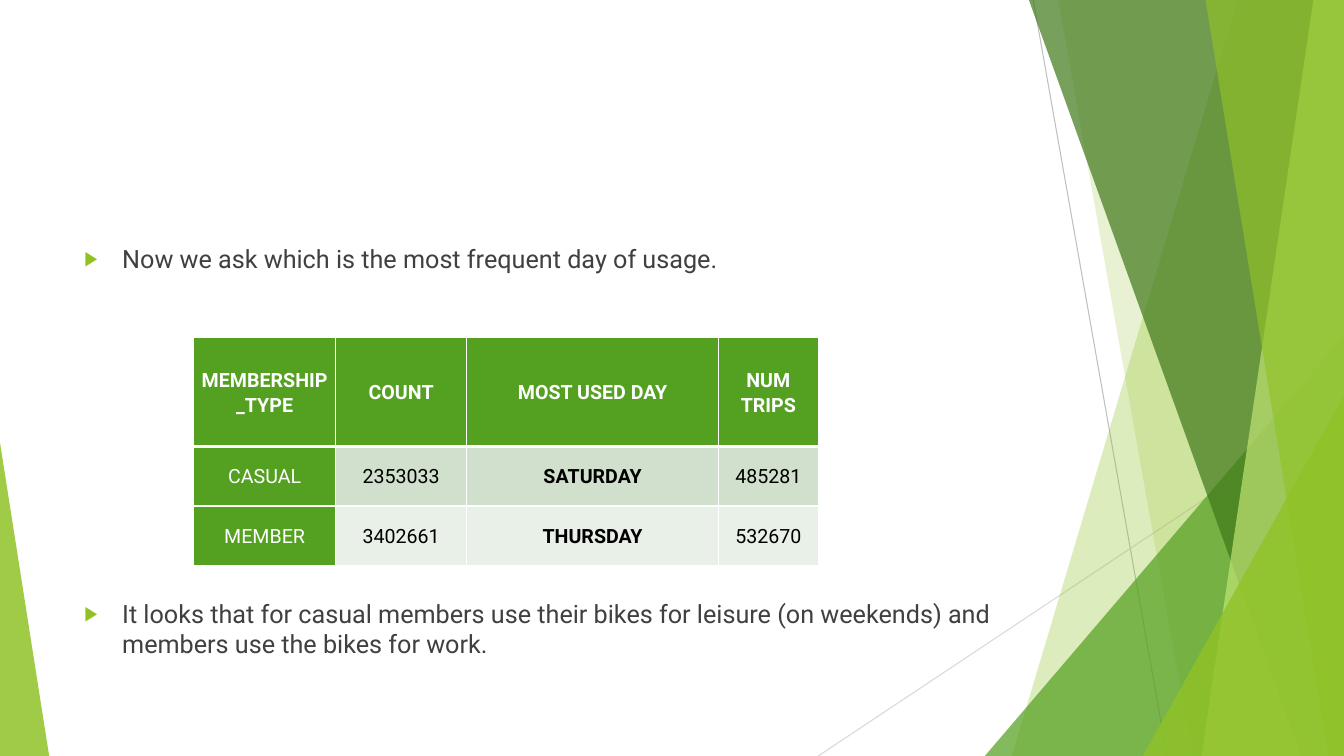
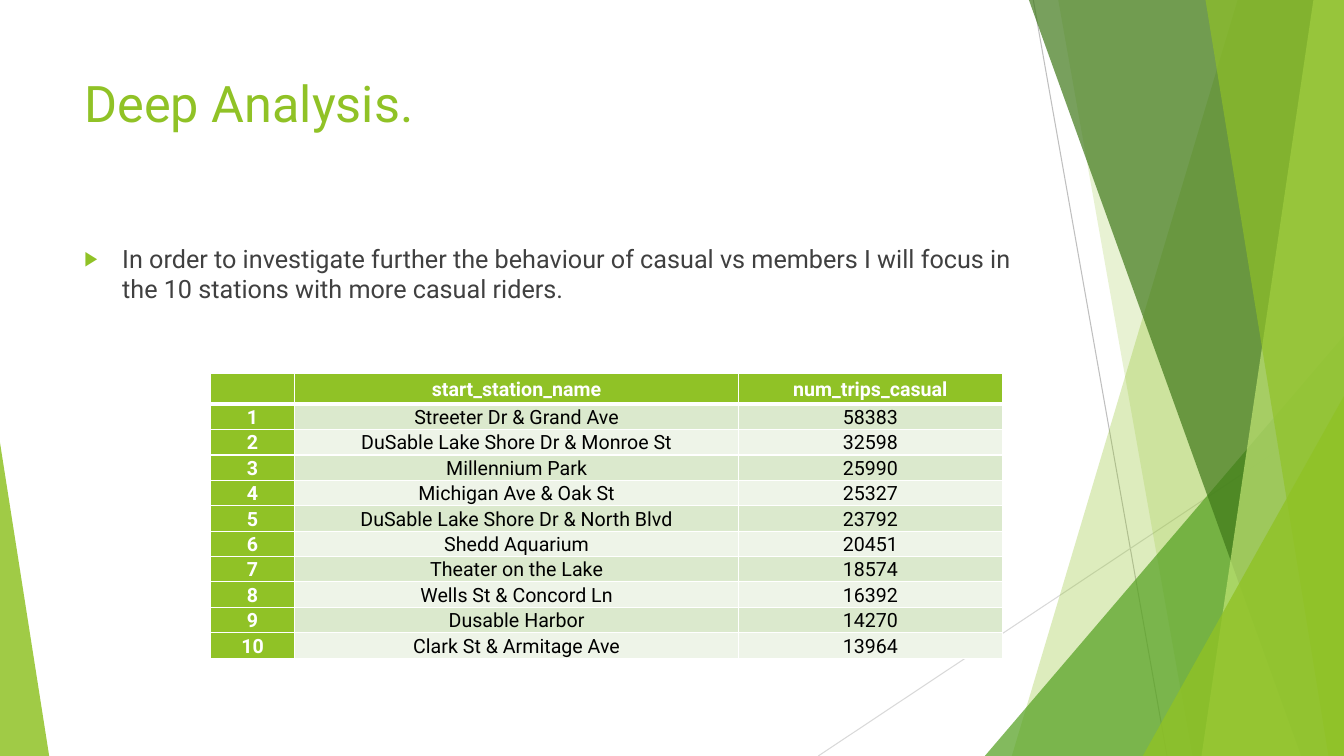
from lxml import etree
from pptx import Presentation
from pptx.dml.color import RGBColor
from pptx.enum.shapes import MSO_CONNECTOR, MSO_SHAPE
from pptx.enum.text import MSO_ANCHOR, PP_ALIGN
from pptx.oxml.ns import qn
from pptx.util import Cm, Pt

WIDTH, HEIGHT = 33.87, 19.05
FONT = "Roboto"
LIME, GREEN, FOREST, PALE_LIME = "90C226", "54A021", "3F7819", "C0E474"
BODY, WHITE, BLACK = "404040", "FFFFFF", "000000"
TEXT_LEFT, TEXT_WIDTH = 1.88, 23.88


def color(value):
    return RGBColor.from_string(value)


def paint(shape, value, opacity):
    shape.shadow.inherit = False
    shape.line.fill.background()
    shape.fill.solid()
    shape.fill.fore_color.rgb = color(value)
    tint = shape.fill._xPr.find(qn("a:solidFill"))[0]
    etree.SubElement(tint, qn("a:alpha"), val=str(opacity * 1000))


def add_hairline(slide, start, end, value):
    points = [Cm(v) for v in (*start, *end)]
    line = slide.shapes.add_connector(MSO_CONNECTOR.STRAIGHT, *points)
    line.line.color.rgb = color(value)
    line.line.width = Pt(0.75)
    etree.SubElement(line._element.spPr, qn("a:effectLst"))


def add_shard(slide, top_x, bottom_x, value, opacity):
    builder = slide.shapes.build_freeform(Cm(top_x), 0)
    corners = [(WIDTH, 0), (WIDTH, HEIGHT), (bottom_x, HEIGHT)]
    builder.add_line_segments([(Cm(x), Cm(y)) for x, y in corners])
    paint(builder.convert_to_shape(), value, opacity)


def add_corner(slide, left, right, top, apex, value, opacity):
    triangle = slide.shapes.add_shape(
        MSO_SHAPE.ISOSCELES_TRIANGLE,
        Cm(left), Cm(top), Cm(right - left), Cm(HEIGHT - top))
    triangle.adjustments[0] = apex
    paint(triangle, value, opacity)


def add_facets(slide):
    add_hairline(slide, (26.04, 0), (29.41, HEIGHT), "BFBFBF")
    add_hairline(slide, (WIDTH, 10.24), (20.62, HEIGHT), "D9D9D9")
    add_shard(slide, 31.19, 25.5, LIME, 30)
    add_shard(slide, 26.67, 30.05, LIME, 20)
    add_corner(slide, 24.82, WIDTH, 8.46, 1, GREEN, 72)
    add_shard(slide, 25.93, 32.79, FOREST, 70)
    add_shard(slide, 33.1, 30.28, PALE_LIME, 70)
    add_shard(slide, 30.38, 33.48, LIME, 65)
    add_corner(slide, 28.8, WIDTH, 9.98, 1, LIME, 80)
    add_corner(slide, 0, 1.24, 11.15, 0, LIME, 85)


def new_slide(deck):
    slide = deck.slides.add_slide(deck.slide_layouts[6])
    add_facets(slide)
    return slide


def add_run(paragraph, text, size, value, bold=False):
    run = paragraph.add_run()
    run.text = text
    run.font.name = FONT
    run.font.size = Pt(size)
    run.font.bold = bold
    run.font.color.rgb = color(value)


def add_text_frame(slide, top, height):
    box = slide.shapes.add_textbox(
        Cm(TEXT_LEFT), Cm(top), Cm(TEXT_WIDTH), Cm(height))
    box.text_frame.word_wrap = True
    return box.text_frame


def add_title(slide, text):
    frame = add_text_frame(slide, 1.7, 3.66)
    add_run(frame.paragraphs[0], text, 36, LIME)


def set_bullet(paragraph):
    properties = paragraph._p.get_or_add_pPr()
    properties.set("marL", str(Cm(0.95)))
    properties.set("indent", str(-Cm(0.95)))
    tint = etree.SubElement(properties, qn("a:buClr"))
    etree.SubElement(tint, qn("a:srgbClr"), val=LIME)
    etree.SubElement(properties, qn("a:buSzPct"), val="80000")
    etree.SubElement(properties, qn("a:buFont"), typeface="Arial")
    etree.SubElement(properties, qn("a:buChar"), char="▶")


def add_bullets(slide, texts, gap=10):
    frame = add_text_frame(slide, 6, 10.77)
    for index, text in enumerate(texts):
        paragraph = frame.add_paragraph() if index else frame.paragraphs[0]
        paragraph.space_before = Pt(gap if index else 10)
        set_bullet(paragraph)
        add_run(paragraph, text, 18, BODY)


def set_borders(cell, top, bottom):
    properties = cell._tc.get_or_add_tcPr()
    for side, width in (("L", 1), ("R", 1), ("T", top), ("B", bottom)):
        edge = etree.SubElement(
            properties, qn(f"a:ln{side}"), w=str(Pt(width)))
        fill = etree.SubElement(edge, qn("a:solidFill"))
        etree.SubElement(fill, qn("a:srgbClr"), val=WHITE)


def fill_cell(cell, text, background, value, bold):
    cell.margin_left = cell.margin_right = Cm(0.17)
    cell.margin_top = cell.margin_bottom = 0
    cell.vertical_anchor = MSO_ANCHOR.MIDDLE
    cell.fill.solid()
    cell.fill.fore_color.rgb = color(background)
    paragraph = cell.text_frame.paragraphs[0]
    paragraph.alignment = PP_ALIGN.CENTER
    paragraph.line_spacing = Pt(18)
    if text:
        add_run(paragraph, text, 14, value, bold)


def add_data_table(slide, left, top, widths, heights, rows,
                   accent, bands, bold_column):
    table = slide.shapes.add_table(
        len(rows), len(widths), Cm(left), Cm(top),
        Cm(sum(widths)), Cm(sum(heights))).table
    for column, width in zip(table.columns, widths):
        column.width = Cm(width)
    for r, (values, height) in enumerate(zip(rows, heights)):
        table.rows[r].height = Cm(height)
        for c, text in enumerate(values):
            heading = r == 0 or c == 0
            cell = table.cell(r, c)
            set_borders(cell, 3 if r == 1 else 1, 3 if r == 0 else 1)
            fill_cell(cell, text,
                      accent if heading else bands[(r - 1) % 2],
                      WHITE if heading else BLACK,
                      r == 0 or c == bold_column)


def build_usage_day(deck):
    slide = new_slide(deck)
    add_bullets(slide, [
        "Now we ask which is the most frequent day of usage.",
        "It looks that for casual members use their bikes for leisure "
        "(on weekends) and members use the bikes for work.",
    ], gap=232)
    rows = [
        ("MEMBERSHIP_TYPE", "COUNT", "MOST USED DAY", "NUM TRIPS"),
        ("CASUAL", "2353033", "SATURDAY", "485281"),
        ("MEMBER", "3402661", "THURSDAY", "532670"),
    ]
    add_data_table(slide, 4.88, 8.51, (3.58, 3.3, 6.35, 2.51),
                   (2.74, 1.5, 1.5), rows, GREEN, ("D1DFCD", "E9F0E8"), 2)


def build_station_ranking(deck):
    slide = new_slide(deck)
    add_title(slide, "Deep Analysis.")
    add_bullets(slide, [
        "In order to investigate further the behaviour of casual vs members "
        "I will focus in the 10 stations with more casual riders."])
    stations = [
        ("Streeter Dr & Grand Ave", "58383"),
        ("DuSable Lake Shore Dr & Monroe St", "32598"),
        ("Millennium Park", "25990"),
        ("Michigan Ave & Oak St", "25327"),
        ("DuSable Lake Shore Dr & North Blvd", "23792"),
        ("Shedd Aquarium", "20451"),
        ("Theater on the Lake", "18574"),
        ("Wells St & Concord Ln", "16392"),
        ("Dusable Harbor", "14270"),
        ("Clark St & Armitage Ave", "13964"),
    ]
    rows = [("", "start_station_name", "num_trips_casual")]
    rows += [(str(rank), *station) for rank, station in enumerate(stations, 1)]
    add_data_table(slide, 5.3, 9.42, (2.13, 11.18, 6.65),
                   [0.64] * len(rows), rows, LIME, ("DBE9CD", "EEF4E8"), 0)


def main():
    deck = Presentation()
    deck.slide_width, deck.slide_height = Cm(WIDTH), Cm(HEIGHT)
    build_usage_day(deck)
    build_station_ranking(deck)
    deck.save("out.pptx")


main()
